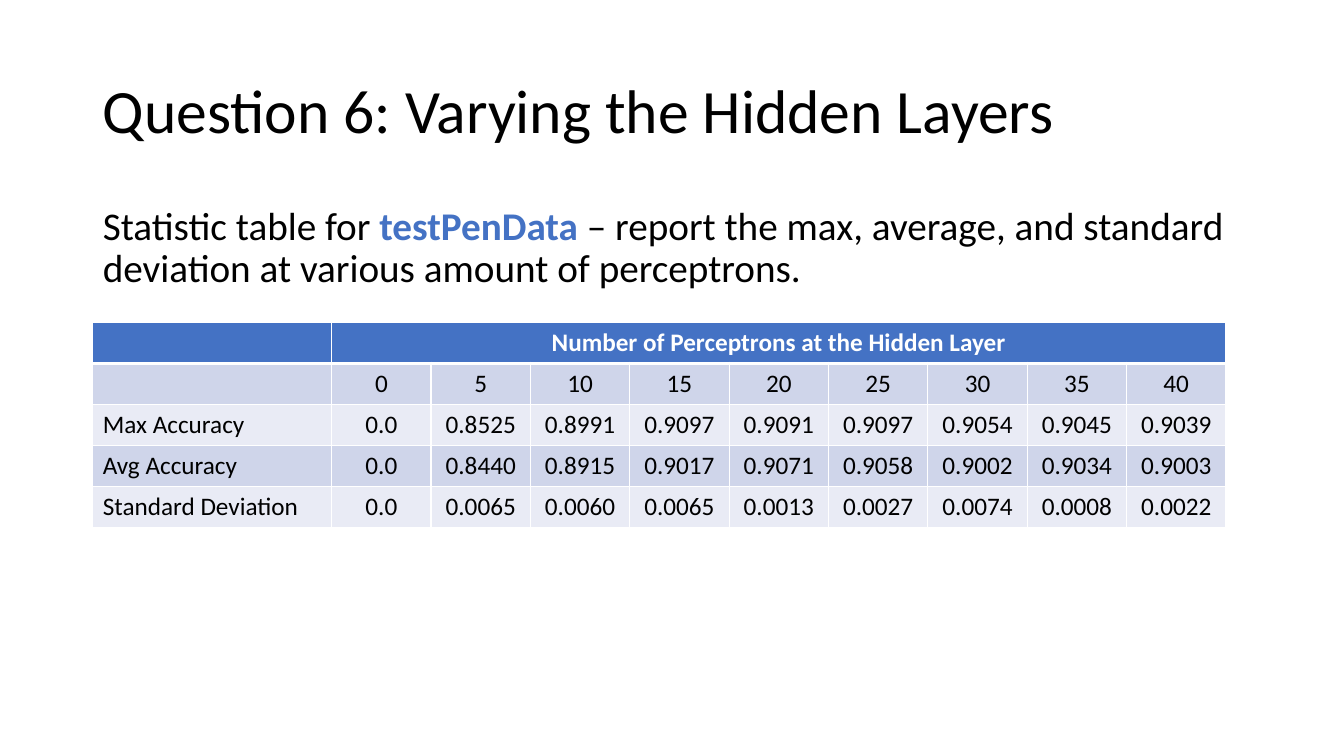
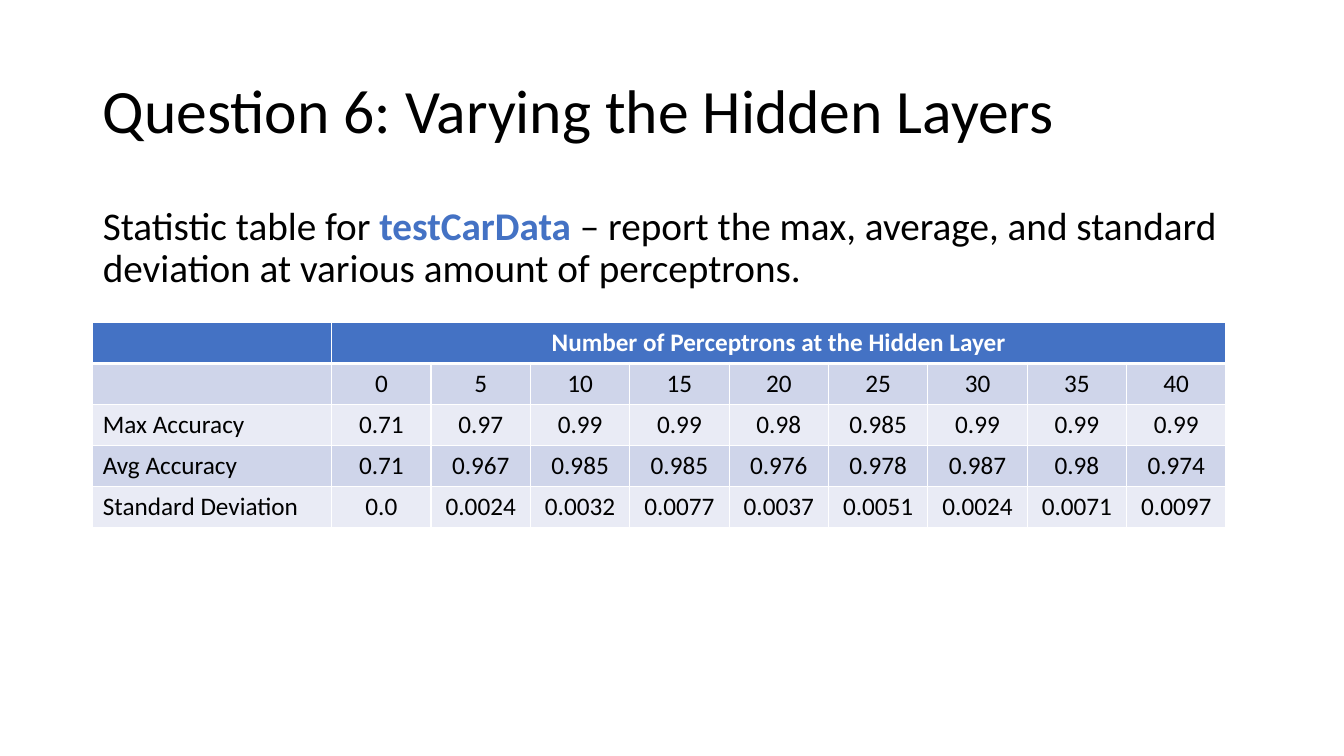
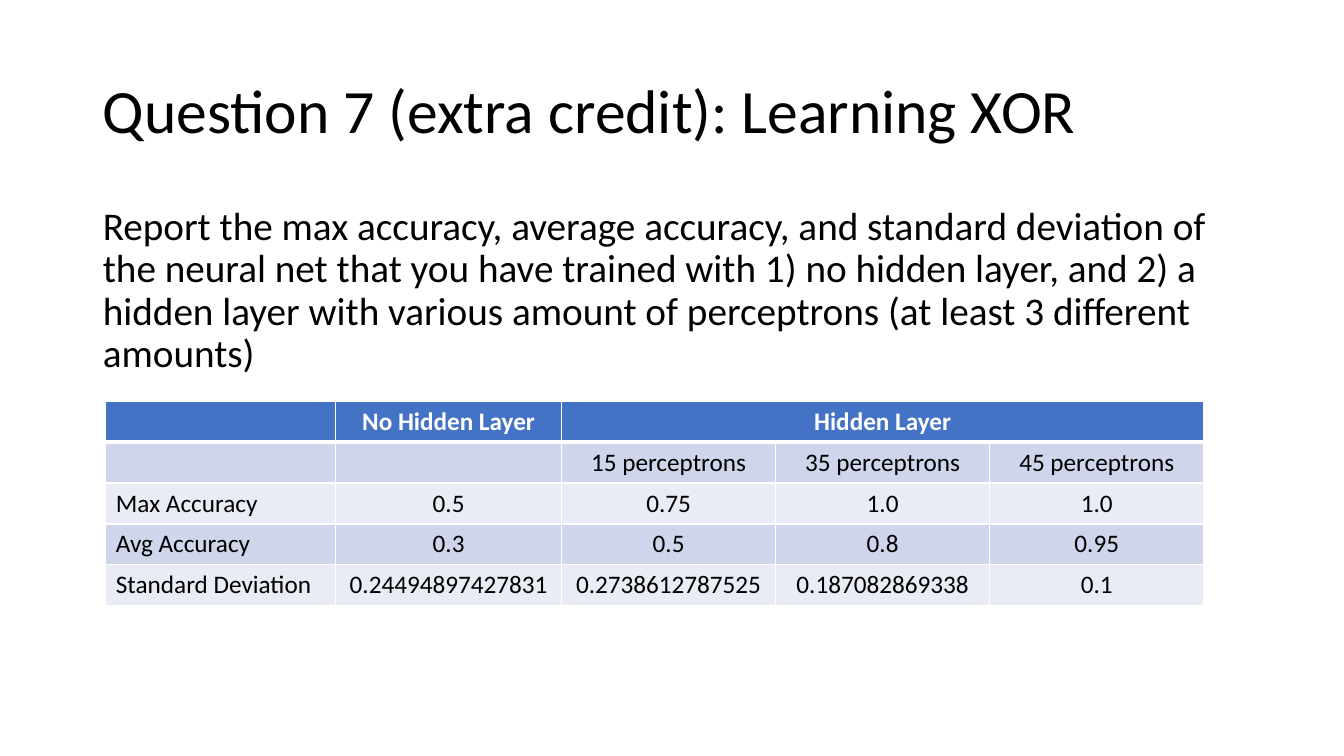
from pptx import Presentation
from pptx.dml.color import RGBColor
from pptx.enum.text import MSO_ANCHOR as Anchor, MSO_AUTO_SIZE as AutoSize, PP_ALIGN as Align
from pptx.oxml.ns import qn
from pptx.util import Inches, Pt
from lxml.etree import SubElement

WIDTH, HEIGHT = 13.33, 7.5
MARGIN = 0.92
CONTENT_WIDTH = WIDTH - 2 * MARGIN
TITLE_TOP, TITLE_HEIGHT = 0.4, 1.45
BODY_TOP, BODY_HEIGHT = 2, 4.76
TABLE_HEIGHT = 2.03

FONT = "Calibri"
BLACK, WHITE, ACCENT = "000000", "FFFFFF", "4472C4"
BANDS = ("CFD5EA", "E9EBF5")
THIN, THICK = 1, 3

MEASURES = ("Max Accuracy", "Avg Accuracy", "Standard Deviation")
LAYERS_TITLE = "Question 6: Varying the Hidden Layers"
LAYERS_HEADER = [("", 1), ("Number of Perceptrons at the Hidden Layer", 9)]
LAYERS_COUNTS = [""] + [str(count) for count in range(0, 45, 5)]
LAYERS_RESULTS = {
    "testPenData": (
        "0.0 0.8525 0.8991 0.9097 0.9091 0.9097 0.9054 0.9045 0.9039",
        "0.0 0.8440 0.8915 0.9017 0.9071 0.9058 0.9002 0.9034 0.9003",
        "0.0 0.0065 0.0060 0.0065 0.0013 0.0027 0.0074 0.0008 0.0022",
    ),
    "testCarData": (
        "0.71 0.97 0.99 0.99 0.98 0.985 0.99 0.99 0.99",
        "0.71 0.967 0.985 0.985 0.976 0.978 0.987 0.98 0.974",
        "0.0 0.0024 0.0032 0.0077 0.0037 0.0051 0.0024 0.0071 0.0097",
    ),
}
XOR_TITLE = "Question 7 (extra credit): Learning XOR"
XOR_TASK = (
    "Report the max accuracy, average accuracy, and standard deviation of the neural net "
    "that you have trained with 1) no hidden layer, and 2) a hidden layer with various "
    "amount of perceptrons (at least 3 different amounts)"
)
XOR_HEADER = [("", 1), ("No Hidden Layer", 1), ("Hidden Layer", 3)]
XOR_COUNTS = ["", ""] + [f"{count} perceptrons" for count in (15, 35, 45)]
XOR_RESULTS = (
    "0.5 0.75 1.0 1.0",
    "0.3 0.5 0.8 0.95",
    "0.24494897427831 0.2738612787525 0.187082869338 0.1",
)


def rgb(color):
    """Turn a hex string into a colour."""
    return RGBColor.from_string(color)


def add_text(paragraph, text, size=18, color=BLACK, bold=False):
    """Append a formatted run to a paragraph."""
    run = paragraph.add_run()
    run.text = text
    run.font.name = FONT
    run.font.size = Pt(size)
    run.font.bold = bold
    run.font.color.rgb = rgb(color)


def prepare_placeholder(shape, top, height, anchor, space_before=0):
    """Place a placeholder in the content column and return its plain paragraph."""
    shape.left, shape.top = Inches(MARGIN), Inches(top)
    shape.width, shape.height = Inches(CONTENT_WIDTH), Inches(height)
    frame = shape.text_frame
    frame.word_wrap = True
    frame.auto_size = AutoSize.NONE
    frame.vertical_anchor = anchor
    paragraph = frame.paragraphs[0]
    paragraph.alignment = Align.LEFT
    paragraph.line_spacing = 0.9
    paragraph.space_before = Pt(space_before)
    properties = paragraph._p.get_or_add_pPr()
    properties.set("marL", "0")
    properties.set("indent", "0")
    SubElement(properties, qn("a:buNone"))
    return paragraph


def add_content_slide(presentation, title, body):
    """Add a slide with a title and a body made of (text, format) pieces."""
    slide = presentation.slides.add_slide(presentation.slide_layouts[1])
    heading = prepare_placeholder(slide.shapes.title, TITLE_TOP, TITLE_HEIGHT, Anchor.MIDDLE)
    add_text(heading, title, size=44)
    paragraph = prepare_placeholder(
        slide.placeholders[1], BODY_TOP, BODY_HEIGHT, Anchor.TOP, space_before=10)
    for text, style in body:
        add_text(paragraph, text, size=28, **style)
    return slide


def set_borders(cell, top, bottom):
    """Draw white cell borders, with the top and bottom widths in points."""
    properties = cell._tc.get_or_add_tcPr()
    sides = (("a:lnL", THIN), ("a:lnR", THIN), ("a:lnT", top), ("a:lnB", bottom))
    for position, (tag, width) in enumerate(sides):
        line = SubElement(properties, qn(tag), w=str(Pt(width)))
        fill = SubElement(line, qn("a:solidFill"))
        SubElement(fill, qn("a:srgbClr"), val=WHITE)
        properties.insert(position, line)


def style_cell(cell, row):
    """Give a cell the fill and borders of its row."""
    cell.fill.solid()
    cell.fill.fore_color.rgb = rgb(BANDS[(row - 1) % 2] if row else ACCENT)
    set_borders(cell, top=THICK if row == 1 else THIN, bottom=THIN if row else THICK)


def write_cell(cell, text, align=Align.CENTER, **style):
    """Write a cell's text, leaving blank cells empty."""
    if text:
        paragraph = cell.text_frame.paragraphs[0]
        paragraph.alignment = align
        add_text(paragraph, text, **style)


def add_result_table(slide, left, top, width, first_widths, header, counts, results):
    """Add a banded table; columns after first_widths share the remaining width."""
    rows = [counts] + [[name, *values.split()] for name, values in zip(MEASURES, results)]
    row_count, column_count = len(rows) + 1, len(counts)
    table = slide.shapes.add_table(
        row_count, column_count, Inches(left), Inches(top),
        Inches(width), Inches(TABLE_HEIGHT)).table

    remaining = column_count - len(first_widths)
    shared_width = (width - sum(first_widths)) / remaining
    for column, length in zip(table.columns, [*first_widths] + [shared_width] * remaining):
        column.width = Inches(length)
    for row, table_row in enumerate(table.rows):
        table_row.height = Inches(TABLE_HEIGHT / row_count)
        for cell in table_row.cells:
            style_cell(cell, row)

    start = 0
    for text, span in header:
        cell = table.cell(0, start)
        if span > 1:
            cell.merge(table.cell(0, start + span - 1))
        write_cell(cell, text, color=WHITE, bold=True)
        start += span
    for row, values in enumerate(rows, start=1):
        for column, text in enumerate(values):
            write_cell(table.cell(row, column), text,
                       align=Align.CENTER if column else Align.LEFT)


def main():
    """Build and save the presentation."""
    presentation = Presentation()
    presentation.slide_width, presentation.slide_height = Inches(WIDTH), Inches(HEIGHT)

    for dataset, results in LAYERS_RESULTS.items():
        slide = add_content_slide(presentation, LAYERS_TITLE, [
            ("Statistic table for ", {}),
            (dataset, {"color": ACCENT, "bold": True}),
            (" – report the max, average, and standard deviation "
             "at various amount of perceptrons.", {}),
        ])
        add_result_table(slide, MARGIN, 3.2, 11.24, [2.37],
                         LAYERS_HEADER, LAYERS_COUNTS, results)

    slide = add_content_slide(presentation, XOR_TITLE, [(XOR_TASK, {})])
    add_result_table(slide, 1.05, 3.98, 10.89, [2.28, 2.24],
                     XOR_HEADER, XOR_COUNTS, XOR_RESULTS)

    presentation.save("out.pptx")


main()
